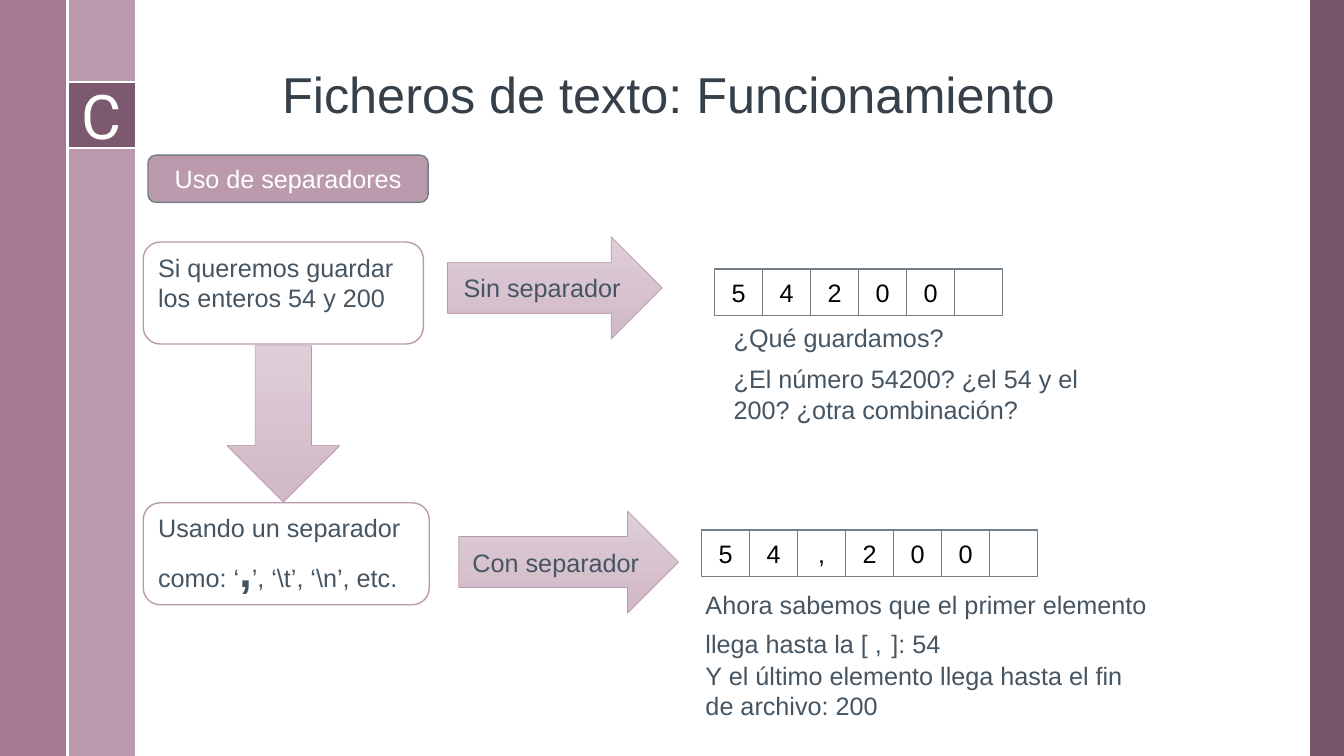
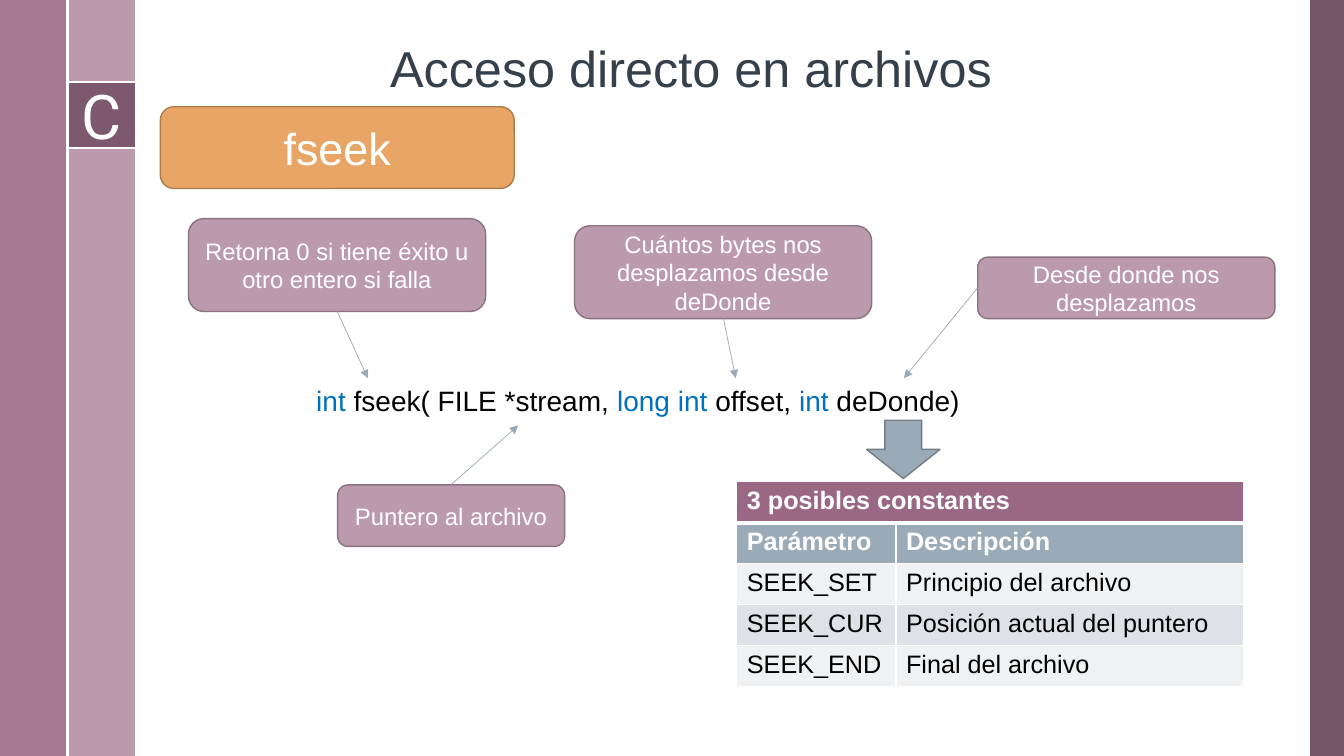
import lxml.etree
import pptx
import pptx.dml.color
import pptx.enum.shapes
import pptx.enum.text
import pptx.oxml.ns
import pptx.util

Cm = pptx.util.Cm
Pt = pptx.util.Pt
RGBColor = pptx.dml.color.RGBColor
SHAPE = pptx.enum.shapes.MSO_SHAPE
ANCHOR = pptx.enum.text.MSO_ANCHOR
ALIGN = pptx.enum.text.PP_ALIGN
qn = pptx.oxml.ns.qn

WHITE = RGBColor(0xFF, 0xFF, 0xFF)
BLACK = RGBColor(0x00, 0x00, 0x00)
PLUM = RGBColor(0x67, 0x44, 0x59)
MAUVE = RGBColor(0x9A, 0x67, 0x85)
PINK = RGBColor(0xBC, 0x9A, 0xAE)
PINK_EDGE = RGBColor(0x8B, 0x72, 0x81)
ARROW_TOP = RGBColor(0xDE, 0xCD, 0xD7)
ARROW_BOTTOM = RGBColor(0xD1, 0xB9, 0xC7)
TITLE_INK = RGBColor(0x35, 0x40, 0x4A)
BODY_INK = RGBColor(0x46, 0x55, 0x62)
STEEL = RGBColor(0x9B, 0xAA, 0xB7)
STEEL_EDGE = RGBColor(0x73, 0x7E, 0x87)
ORANGE = RGBColor(0xE8, 0xA5, 0x65)
ORANGE_EDGE = RGBColor(0xAC, 0x7A, 0x4B)
KEYWORD_BLUE = RGBColor(0x00, 0x70, 0xC0)
ROW_LIGHT = RGBColor(0xEF, 0xF1, 0xF3)
ROW_DARK = RGBColor(0xDE, 0xE2, 0xE6)

WIDTH, HEIGHT = 33.87, 19.05
BAND = 1.7
BADGE_TOP, BADGE_BOTTOM = 2.06, 3.73
CELL_WIDTH, CELL_HEIGHT = 1.21, 1.17


def write_text(frame, text, size=18, color=BODY_INK, font="Arial", bold=False,
               align=ALIGN.LEFT, spacing=None):
    paragraph = frame.paragraphs[0]
    paragraph.alignment = align
    paragraph.line_spacing = spacing
    pieces = [(text, {})] if isinstance(text, str) else text
    for piece, changes in pieces:
        for number, line in enumerate(piece.split("\n")):
            if number:
                paragraph.add_line_break()
            run = paragraph.add_run()
            run.text = line
            run.font.name = font
            run.font.size = Pt(changes.get("size", size))
            run.font.bold = changes.get("bold", bold)
            run.font.color.rgb = changes.get("color", color)


def add_text(slide, box, text, anchor=ANCHOR.TOP, **text_format):
    frame = slide.shapes.add_textbox(*map(Cm, box)).text_frame
    frame.word_wrap = True
    frame.vertical_anchor = anchor
    write_text(frame, text, **text_format)


def add_box(slide, kind, box, fill=None, edge=None, edge_width=1, opacity=100,
            text="", anchor=ANCHOR.MIDDLE, align=ALIGN.CENTER, **text_format):
    shape = slide.shapes.add_shape(kind, *map(Cm, box))
    shape.shadow.inherit = False
    if fill is None:
        shape.fill.background()
    else:
        shape.fill.solid()
        shape.fill.fore_color.rgb = fill
    if opacity < 100:
        color = shape.element.spPr.find(qn("a:solidFill"))[0]
        lxml.etree.SubElement(color, qn("a:alpha"), val=str(opacity * 1000))
    if edge is None:
        shape.line.fill.background()
    else:
        shape.line.color.rgb = edge
        shape.line.width = Pt(edge_width)
    if text:
        shape.text_frame.word_wrap = True
        shape.text_frame.vertical_anchor = anchor
        write_text(shape.text_frame, text, align=align, **text_format)
    return shape


def add_gradient_arrow(slide, kind, box, text=""):
    arrow = add_box(slide, kind, box, ARROW_TOP, PINK, 0.5, text=text)
    arrow.fill.gradient()
    arrow.fill.gradient_angle = 270
    for stop, color in zip(arrow.fill.gradient_stops, (ARROW_TOP, ARROW_BOTTOM)):
        stop.color.rgb = color


def add_line(slide, start, end, color, width, arrow=False):
    line = slide.shapes.add_connector(
        pptx.enum.shapes.MSO_CONNECTOR.STRAIGHT, *map(Cm, start + end))
    line.line.color.rgb = color
    line.line.width = Pt(width)
    properties = line.element.spPr
    if arrow:
        lxml.etree.SubElement(properties.find(qn("a:ln")), qn("a:tailEnd"), type="triangle")
    lxml.etree.SubElement(properties, qn("a:effectLst"))


def add_memory_cells(slide, left, top, symbols):
    for index, symbol in enumerate(symbols):
        add_box(slide, SHAPE.RECTANGLE,
                (left + index * CELL_WIDTH, top, CELL_WIDTH, CELL_HEIGHT),
                edge=STEEL_EDGE, text=symbol, color=BLACK)


def set_borders(cell, bottom_width):
    properties = cell._tc.get_or_add_tcPr()
    widths = (("L", 1), ("R", 1), ("T", 1), ("B", bottom_width))
    for index, (side, width) in enumerate(widths):
        border = lxml.etree.Element(qn("a:ln" + side), w=str(Pt(width)))
        fill = lxml.etree.SubElement(border, qn("a:solidFill"))
        lxml.etree.SubElement(fill, qn("a:srgbClr"), val=str(WHITE))
        properties.insert(index, border)


def add_constants_table(slide, left, top, widths, row_height, rows):
    table = slide.shapes.add_table(
        len(rows), len(widths), Cm(left), Cm(top),
        Cm(sum(widths)), Cm(row_height * len(rows))).table
    table.first_row = table.horz_banding = False
    for column, width in zip(table.columns, widths):
        column.width = Cm(width)
    fills = (MAUVE, STEEL, ROW_LIGHT, ROW_DARK, ROW_LIGHT)
    for row, (texts, fill) in enumerate(zip(rows, fills)):
        table.rows[row].height = Cm(row_height)
        heading = row < 2
        for column in range(len(widths)):
            cell = table.cell(row, column)
            cell.fill.solid()
            cell.fill.fore_color.rgb = fill
            set_borders(cell, 1 if row else 3)
            if column < len(texts):
                write_text(cell.text_frame, texts[column], bold=heading,
                           color=WHITE if heading else BLACK)
    table.cell(0, 0).merge(table.cell(0, len(widths) - 1))


def add_slide(presentation, title, title_box):
    slide = presentation.slides.add_slide(presentation.slide_layouts[6])
    add_box(slide, SHAPE.RECTANGLE, (33.02, 0, 0.85, HEIGHT), PLUM, opacity=90)
    add_box(slide, SHAPE.RECTANGLE, (BAND, 0, BAND, HEIGHT), PINK)
    add_box(slide, SHAPE.RECTANGLE, (0, 0, BAND, HEIGHT), MAUVE, opacity=88)
    add_box(slide, SHAPE.RECTANGLE, (BAND, BADGE_TOP, BAND, BADGE_BOTTOM - BADGE_TOP),
            PLUM, opacity=75, text="C", size=44, font="Roboto", color=WHITE)
    for y in (BADGE_TOP, BADGE_BOTTOM):
        add_line(slide, (BAND, y), (2 * BAND, y), WHITE, 1.5)
    add_line(slide, (BAND, 0), (BAND, HEIGHT), WHITE, 1.5)
    add_text(slide, title_box, title, anchor=ANCHOR.BOTTOM,
             size=36, color=TITLE_INK, spacing=0.9)
    return slide


def build_separators_slide(presentation):
    slide = add_slide(presentation, "Ficheros de texto: Funcionamiento",
                      (6.86, -0.18, 21.92, 3.45))
    add_box(slide, SHAPE.ROUNDED_RECTANGLE, (3.73, 3.91, 7.06, 1.19), PINK, STEEL_EDGE,
            text="Uso de separadores", color=WHITE)
    separator_note = [("Usando un separador como: ‘", {}),
                      (",", {"size": 32, "bold": True}),
                      ("’, ‘\\t’, ‘\\n’, etc.", {})]
    for box, text in (
            ((3.61, 6.1, 7.06, 2.57), "Si queremos guardar los enteros 54 y 200"),
            ((3.61, 12.67, 7.21, 2.57), separator_note)):
        add_box(slide, SHAPE.ROUNDED_RECTANGLE, box, WHITE, PINK,
                text=text, anchor=ANCHOR.TOP, align=ALIGN.LEFT)
    add_gradient_arrow(slide, SHAPE.RIGHT_ARROW, (11.28, 5.97, 5.41, 2.57), "Sin separador")
    add_gradient_arrow(slide, SHAPE.RIGHT_ARROW, (11.56, 12.88, 5.54, 2.57), "Con separador")
    add_gradient_arrow(slide, SHAPE.DOWN_ARROW, (5.72, 8.71, 2.84, 3.94))
    add_memory_cells(slide, 18.01, 6.78, ["5", "4", "2", "0", "0", ""])
    add_memory_cells(slide, 17.68, 13.36, ["5", "4", ",", "2", "0", "0", ""])
    add_text(slide, (18.24, 8, 7.06, 1.02), "¿Qué guardamos?")
    add_text(slide, (18.24, 9.04, 10.54, 1.8),
             "¿El número 54200? ¿el 54 y el 200? ¿otra combinación?")
    add_text(slide, (17.53, 14.73, 11.68, 3.58), [
        ("Ahora sabemos que el primer elemento llega hasta la [ ,", {}),
        (" ", {"size": 24, "bold": True}),
        ("]: 54\nY el último elemento llega hasta el fin de archivo: 200", {})])


def build_fseek_slide(presentation):
    slide = add_slide(presentation, "Acceso directo en archivos", (9.58, 0.58, 17.15, 2.03))
    add_box(slide, SHAPE.ROUNDED_RECTANGLE, (4.04, 2.69, 8.92, 2.06), ORANGE, ORANGE_EDGE,
            text="fseek", size=32, color=WHITE)
    keyword = {"color": KEYWORD_BLUE}
    add_text(slide, (7.72, 9.53, 23.06, 1.12), [
        ("int ", keyword), ("fseek( FILE *stream, ", {}),
        ("long int ", keyword), ("offset, ", {}),
        ("int ", keyword), ("deDonde)", {})], size=20, color=BLACK)
    callouts = (
        ("Retorna 0 si tiene éxito u otro entero si falla",
         (4.75, 5.51, 7.49, 2.34), (8.5, 7.85), (9.27, 9.53)),
        ("Puntero al archivo",
         (8.51, 12.22, 5.72, 1.55), (11.36, 12.22), (13.06, 10.72)),
        ("Cuántos bytes nos desplazamos desde deDonde",
         (14.48, 5.69, 7.49, 2.34), (18.23, 8.02), (18.54, 9.53)),
        ("Desde donde nos desplazamos",
         (24.64, 6.48, 7.49, 1.55), (24.64, 7.25), (22.78, 9.53)))
    for text, box, start, end in callouts:
        add_box(slide, SHAPE.ROUNDED_RECTANGLE, box, PINK, PINK_EDGE,
                text=text, size=17, color=WHITE)
        add_line(slide, start, end, STEEL, 0.5, arrow=True)
    add_constants_table(slide, 18.57, 12.14, (4.01, 8.76), 1.03, (
        ("3 posibles constantes",),
        ("Parámetro", "Descripción"),
        ("SEEK_SET", "Principio del archivo"),
        ("SEEK_CUR", "Posición actual del puntero"),
        ("SEEK_END", "Final del archivo")))
    add_box(slide, SHAPE.DOWN_ARROW, (21.84, 10.59, 1.85, 1.47), STEEL, STEEL_EDGE)


def main():
    presentation = pptx.Presentation()
    presentation.slide_width = Cm(WIDTH)
    presentation.slide_height = Cm(HEIGHT)
    build_separators_slide(presentation)
    build_fseek_slide(presentation)
    presentation.save("out.pptx")


if __name__ == "__main__":
    main()
